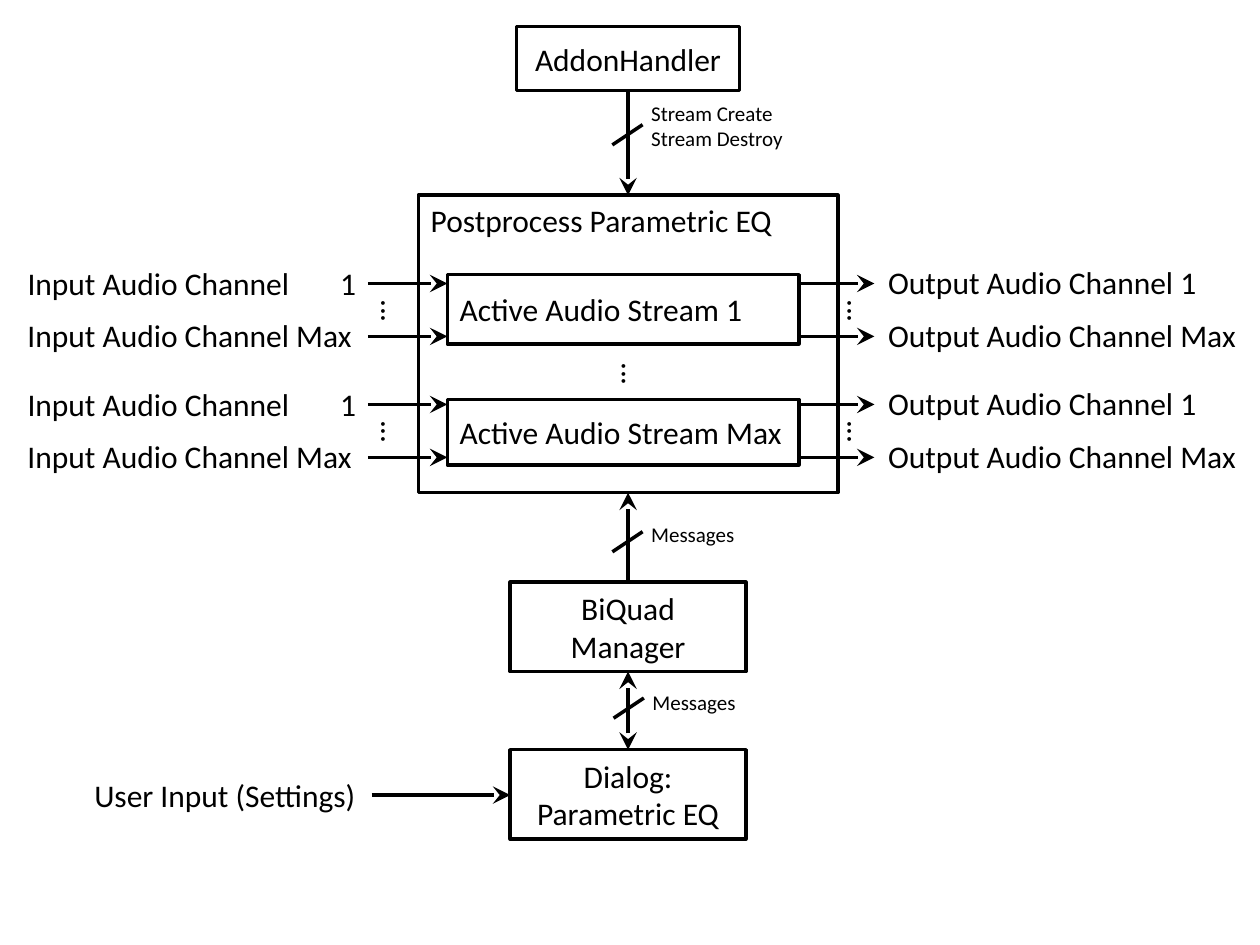
from dataclasses import dataclass
from typing import Optional

import pptx
import pptx.dml.color
import pptx.enum.shapes
import pptx.enum.text
import pptx.oxml.ns
import pptx.shapes.autoshape
import pptx.shapes.connector
import pptx.text.text
import pptx.util
from lxml import etree

Inches = pptx.util.Inches
BLACK = pptx.dml.color.RGBColor(0, 0, 0)
WHITE = pptx.dml.color.RGBColor(255, 255, 255)
LEFT = pptx.enum.text.PP_ALIGN.LEFT
CENTER = pptx.enum.text.PP_ALIGN.CENTER
TOP, BOTTOM = 0, 2


@dataclass
class Block:
    left: float
    top: float
    width: float
    height: float
    lines: tuple[str, ...] = ()
    align: pptx.enum.text.PP_ALIGN = CENTER


@dataclass
class Label:
    left: float
    top: float
    width: float
    height: float
    lines: tuple[str, ...]
    size: int = 18
    rotation: int = 0
    tab: Optional[float] = None


@dataclass
class Line:
    x1: float
    y1: float
    x2: float
    y2: float
    ends: tuple[str, ...] = ("tailEnd",)


@dataclass
class Stream:
    name: str
    top: float
    height: float
    first_channel: float


prs = pptx.Presentation()
prs.slide_width = Inches(10)
prs.slide_height = Inches(7.5)
slide = prs.slides.add_slide(prs.slide_layouts[6])


def write_lines(frame: pptx.text.text.TextFrame, lines: tuple[str, ...], size: int,
                align: pptx.enum.text.PP_ALIGN, tab: Optional[float] = None) -> None:
    for index, line in enumerate(lines):
        paragraph = frame.paragraphs[0] if index == 0 else frame.add_paragraph()
        paragraph.alignment = align
        if tab is not None:
            properties = paragraph._p.get_or_add_pPr()
            stops = etree.SubElement(properties, pptx.oxml.ns.qn("a:tabLst"))
            etree.SubElement(stops, pptx.oxml.ns.qn("a:tab"), pos=str(Inches(tab)), algn="l")
        run = paragraph.add_run()
        run.text = line
        run.font.name = "Calibri"
        run.font.size = pptx.util.Pt(size)
        run.font.color.rgb = BLACK


def draw_block(block: Block) -> pptx.shapes.autoshape.Shape:
    shape = slide.shapes.add_shape(
        pptx.enum.shapes.MSO_SHAPE.RECTANGLE, Inches(block.left), Inches(block.top),
        Inches(block.width), Inches(block.height))
    shape.shadow.inherit = False
    shape.fill.solid()
    shape.fill.fore_color.rgb = WHITE
    shape.line.color.rgb = BLACK
    shape.line.width = pptx.util.Pt(2)
    shape.text_frame.vertical_anchor = pptx.enum.text.MSO_ANCHOR.MIDDLE
    write_lines(shape.text_frame, block.lines, 18, block.align)
    return shape


def draw_label(label: Label) -> None:
    box = slide.shapes.add_textbox(
        Inches(label.left), Inches(label.top), Inches(label.width), Inches(label.height))
    box.rotation = label.rotation
    box.text_frame.word_wrap = label.rotation == 0
    write_lines(box.text_frame, label.lines, label.size, LEFT, label.tab)


def draw_line(line: Line) -> pptx.shapes.connector.Connector:
    connector = slide.shapes.add_connector(
        pptx.enum.shapes.MSO_CONNECTOR.STRAIGHT, Inches(line.x1), Inches(line.y1),
        Inches(line.x2), Inches(line.y2))
    connector.line.color.rgb = BLACK
    connector.line.width = pptx.util.Pt(2)
    outline = connector.line._get_or_add_ln()
    for end in line.ends:
        etree.SubElement(outline, pptx.oxml.ns.qn(f"a:{end}"),
                         type="stealth", w="lg", len="lg")
    etree.SubElement(connector._element.spPr, pptx.oxml.ns.qn("a:effectLst"))
    return connector


def draw_dots(left: float, top: float) -> None:
    draw_label(Label(left, top, 0.45, 0.4, ("...",), rotation=90))


def draw_stream(stream: Stream) -> None:
    first = stream.first_channel
    last = first + 0.42
    for y in (first, last):
        draw_line(Line(6.31, y, 6.94, y))
    draw_block(Block(3.55, stream.top, 2.79, stream.height, (stream.name,), LEFT))
    for y in (first, last):
        draw_line(Line(2.92, y, 3.55, y))
    draw_label(Label(0.12, first - 0.2, 3.62, 0.4, ("Input Audio Channel\t1",), tab=2.48))
    draw_label(Label(0.12, last - 0.21, 2.8, 0.4, ("Input Audio Channel Max",)))
    draw_label(Label(6.95, first - 0.21, 3.05, 0.4, ("Output Audio Channel 1",)))
    draw_label(Label(6.95, last - 0.21, 3.05, 0.4, ("Output Audio Channel Max",)))
    for left in (2.9, 6.6):
        draw_dots(left, first + 0.05)


handler = draw_block(Block(4.1, 0.21, 1.77, 0.51, ("AddonHandler",)))
dialog = draw_block(Block(4.05, 5.95, 1.87, 0.71, ("Dialog:", "Parametric EQ")))
postprocess = draw_block(Block(3.32, 1.55, 3.33, 2.36))
manager = draw_block(Block(4.05, 4.62, 1.87, 0.71, ("BiQuad", "Manager")))
draw_label(Label(3.32, 1.55, 3.33, 0.4, ("Postprocess Parametric EQ",)))

for stream in (Stream("Active Audio Stream 1", 2.18, 0.55, 2.25),
               Stream("Active Audio Stream Max", 3.17, 0.52, 3.21)):
    draw_stream(stream)
draw_dots(4.81, 2.8)

for source, source_site, target, target_site, ends in (
        (handler, BOTTOM, postprocess, TOP, ("tailEnd",)),
        (manager, TOP, postprocess, BOTTOM, ("tailEnd",)),
        (dialog, TOP, manager, BOTTOM, ("headEnd", "tailEnd"))):
    link = draw_line(Line(4.98, 1, 4.98, 2, ends))
    link.begin_connect(source, source_site)
    link.end_connect(target, target_site)

for slash_left, slash_bottom in ((4.86, 1.15), (4.86, 4.38), (4.87, 5.7)):
    draw_line(Line(slash_left, slash_bottom, slash_left + 0.24, slash_bottom - 0.16, ()))

for label in (Label(5.07, 0.75, 1.97, 0.5, ("Stream Create", "Stream Destroy"), 12),
              Label(5.07, 4.09, 1.97, 0.3, ("Messages",), 12),
              Label(5.08, 5.42, 1.97, 0.3, ("Messages",), 12),
              Label(0.65, 6.11, 2.3, 0.4, ("User Input (Settings)",))):
    draw_label(label)
draw_line(Line(2.95, 6.31, 4.05, 6.31))

prs.save("out.pptx")
